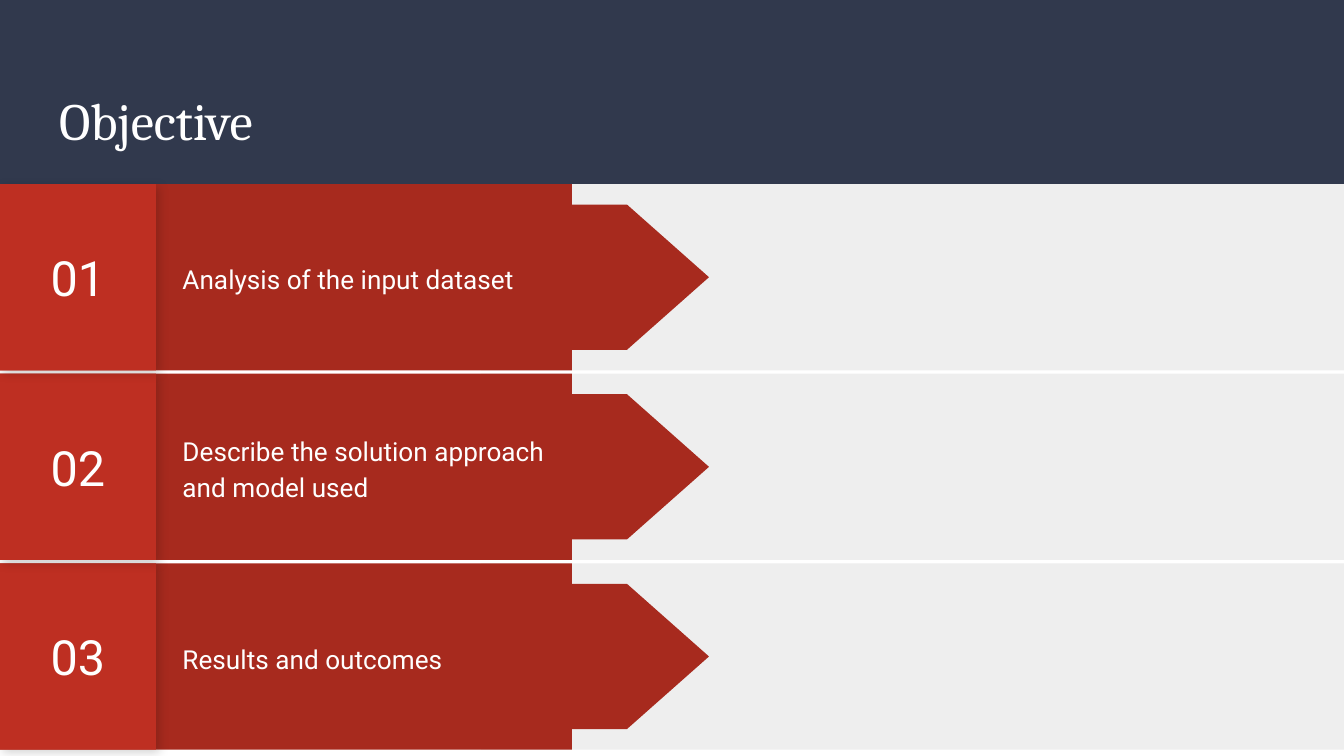
from lxml import etree
from pptx import Presentation
from pptx import util as u
from pptx.dml.color import RGBColor
from pptx.enum import shapes, text
from pptx.oxml import ns

Pt = u.Pt

# Content
TITLE = "Objective"
STEPS = [
    ("01", "Analysis of the input dataset"),
    ("02", "Describe the solution approach and model used"),
    ("03", "Results and outcomes"),
]

# Colours
WHITE = RGBColor(0xFF, 0xFF, 0xFF)
NAVY = RGBColor(0x31, 0x39, 0x4D)
GREY = RGBColor(0xEE, 0xEE, 0xEE)
DARK_RED = RGBColor(0xA7, 0x2A, 0x1E)
SHADE_RED = RGBColor(0xB0, 0x2C, 0x20)
RED = RGBColor(0xBE, 0x2F, 0x22)

# Layout, in points
SLIDE_W, SLIDE_H = 720, 405
HEADER_H = 101
ROW_TOP, ROW_PITCH, ROW_H = 98.6, 101.6, 99.8
NUMBER_W = 83.5
PANEL_RIGHT = 306.4
GREY_LEFT = 257.8
ARROW_TIP, ARROW_LEN, ARROW_H = 379.8, 219.6, 77.8
LABEL_LEFT, LABEL_W, LABEL_H = 90.7, 234.7, 77
INSET = 7.2


def add_block(s, x, y, w, h, color, kind=shapes.MSO_SHAPE.RECTANGLE):
    sp = s.shapes.add_shape(kind, Pt(x), Pt(y), Pt(w), Pt(h))
    sp.shadow.inherit = False
    sp.fill.solid()
    sp.fill.fore_color.rgb = color
    sp.line.fill.background()
    return sp


def add_shadow(sp):
    effects = sp._element.spPr.find(ns.qn("a:effectLst"))
    shadow = etree.SubElement(
        effects, ns.qn("a:outerShdw"), blurRad=str(Pt(5.6)), dist=str(Pt(2.2)),
        dir=str(45 * 60000), algn="bl", rotWithShape="0")
    color = etree.SubElement(shadow, ns.qn("a:srgbClr"), val="000000")
    etree.SubElement(color, ns.qn("a:alpha"), val="17000")


def set_text(sp, words, size, font, align=text.PP_ALIGN.LEFT):
    tf = sp.text_frame
    tf.text = words
    tf.word_wrap = True
    tf.vertical_anchor = text.MSO_ANCHOR.MIDDLE
    tf.margin_left = tf.margin_right = tf.margin_top = tf.margin_bottom = Pt(INSET)
    p = tf.paragraphs[0]
    p.alignment = align
    r = p.runs[0]
    r.font.size = Pt(size)
    r.font.name = font
    r.font.color.rgb = WHITE
    return p


def add_step(s, y, number, label):
    mid = y + ROW_H / 2
    add_block(s, GREY_LEFT, y, SLIDE_W - GREY_LEFT, ROW_H, GREY)
    add_block(s, NUMBER_W, y, PANEL_RIGHT - NUMBER_W, ROW_H, DARK_RED)

    # Arrow: a downward connector shape turned to point right
    arrow = add_block(s, ARROW_TIP - (ARROW_LEN + ARROW_H) / 2, mid - ARROW_LEN / 2,
                      ARROW_H, ARROW_LEN, DARK_RED,
                      shapes.MSO_SHAPE.FLOWCHART_OFFPAGE_CONNECTOR)
    arrow.rotation = 270

    box = s.shapes.add_textbox(Pt(LABEL_LEFT), Pt(mid - LABEL_H / 2),
                               Pt(LABEL_W), Pt(LABEL_H))
    set_text(box, label, 14, "Roboto").line_spacing = 1.15

    # Number tile on its shaded backing
    add_shadow(add_block(s, 0, y, NUMBER_W, ROW_H, SHADE_RED))
    tile = add_block(s, 0, y, NUMBER_W, ROW_H, RED)
    set_text(tile, number, 26, "Roboto", text.PP_ALIGN.CENTER)


def main():
    prs = Presentation()
    prs.slide_width, prs.slide_height = Pt(SLIDE_W), Pt(SLIDE_H)
    s = prs.slides.add_slide(prs.slide_layouts[5])

    # Header band behind the title
    title = s.shapes.title
    title.left, title.top, title.width, title.height = Pt(24.5), Pt(39.6), Pt(671), Pt(49)
    set_text(title, TITLE, 28, "Cambria")
    header = add_block(s, 0, 0, SLIDE_W, HEADER_H, NAVY)
    title._element.addprevious(header._element)

    # Rows, from the bottom up so that each tile's shadow falls on the row below
    for i, (number, label) in reversed(list(enumerate(STEPS))):
        add_step(s, ROW_TOP + i * ROW_PITCH, number, label)

    prs.save("out.pptx")


if __name__ == "__main__":
    main()
